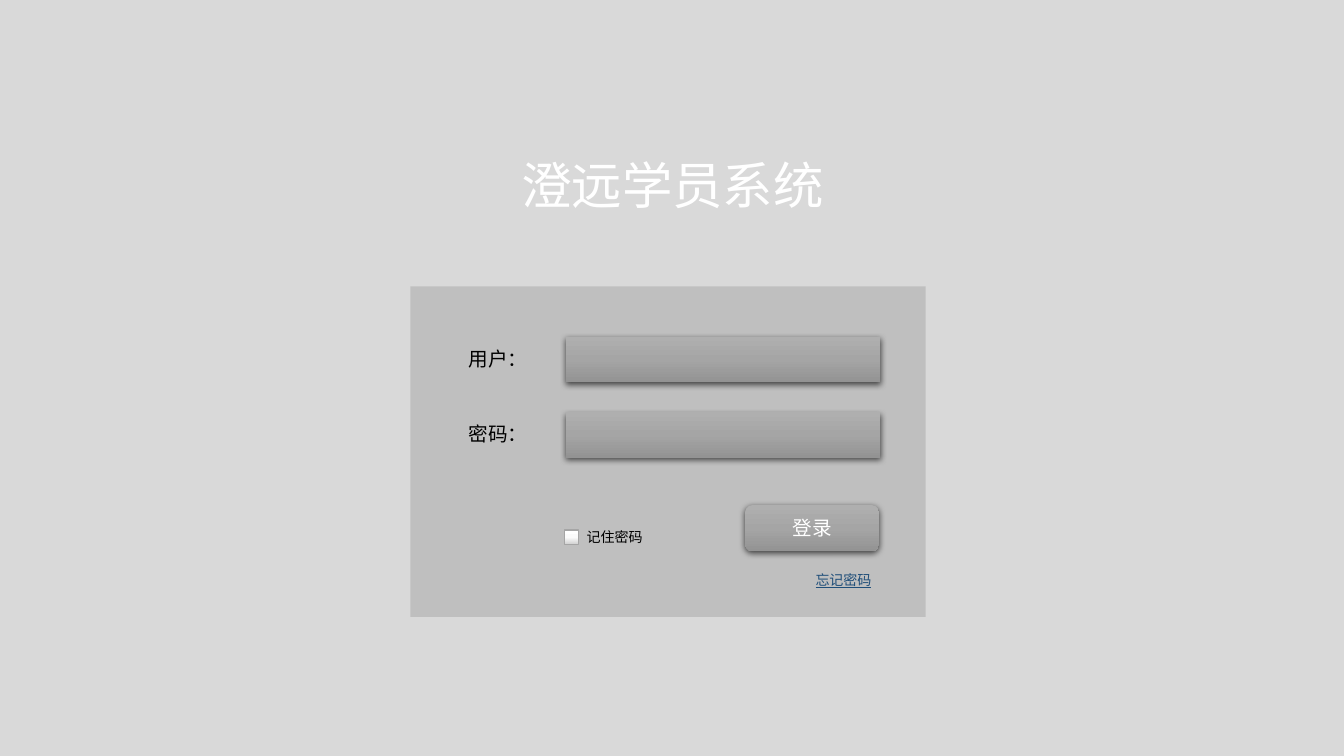
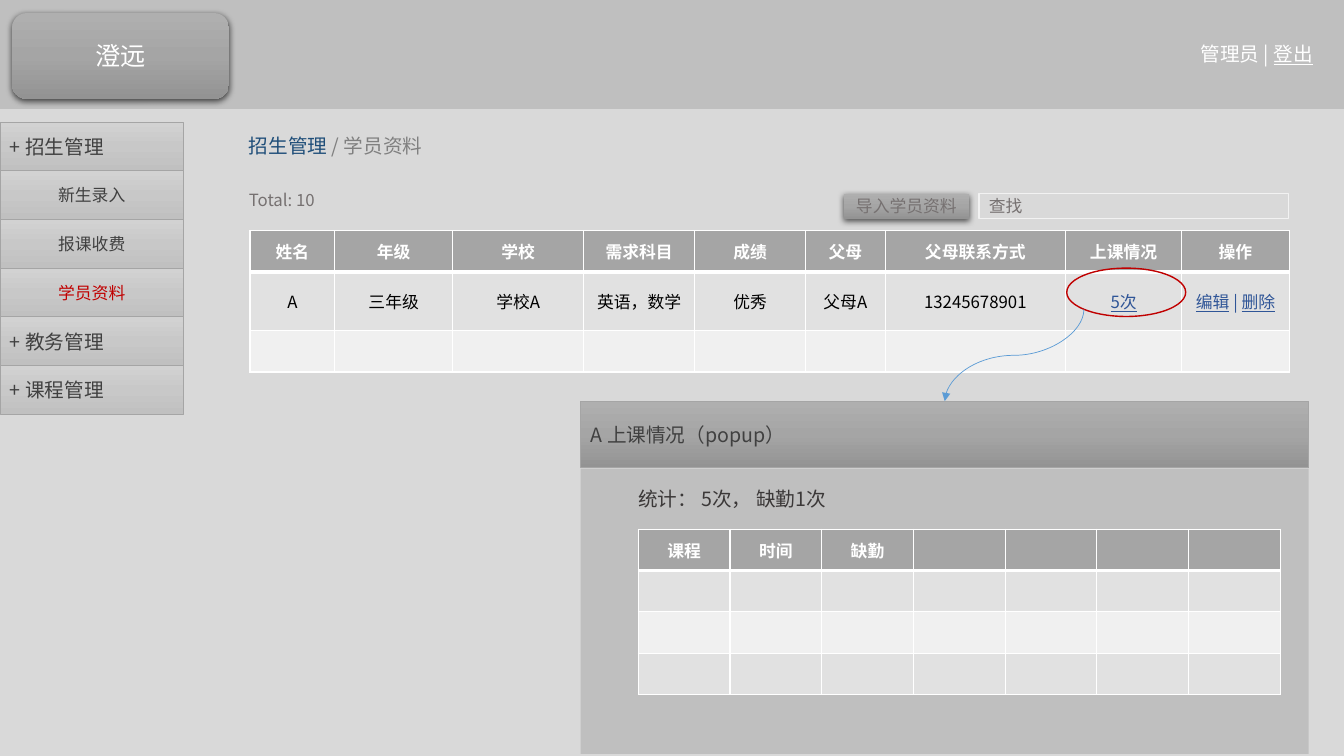
from dataclasses import dataclass
from typing import Optional, Sequence

from lxml.etree import SubElement
from pptx import Presentation
from pptx.dml.color import RGBColor
from pptx.enum.shapes import MSO_CONNECTOR, MSO_SHAPE
from pptx.enum.text import MSO_ANCHOR, PP_ALIGN
from pptx.oxml.ns import qn
from pptx.util import Inches, Pt

FONT = "Noto Sans CJK SC"
WHITE, BLACK, RED = "FFFFFF", "000000", "C00000"
PAGE, PANEL, GRAY = "D9D9D9", "BFBFBF", "A5A5A5"
DARK, MUTED, CRUMB = "404040", "767171", "808080"
NAVY, LINK, ARROW = "1F4E79", "2F5597", "5B9BD5"
BANDS = ("E1E1E1", "F0F0F0")
RAISED = ("AFAFAF", "A5A5A5", "939393")
MENU = ("D2D2D2", "C8C8C8", "C0C0C0")
CHECKBOX = ("FFFFFF", "FBFBFB", "D1D1D1")
RECT, ROUND, OVAL = MSO_SHAPE.RECTANGLE, MSO_SHAPE.ROUNDED_RECTANGLE, MSO_SHAPE.OVAL
LEFT, CENTER = PP_ALIGN.LEFT, PP_ALIGN.CENTER
TOP, MIDDLE = MSO_ANCHOR.TOP, MSO_ANCHOR.MIDDLE
ROW, TALL_ROW = 0.41, 0.58


@dataclass(frozen=True)
class Run:
    text: str
    color: str
    underline: bool = False
    bold: bool = False


@dataclass(frozen=True)
class Label:
    runs: Sequence[Run]
    size: float
    align: PP_ALIGN = CENTER
    anchor: MSO_ANCHOR = MIDDLE


@dataclass(frozen=True)
class Box:
    at: tuple[float, float, float, float]
    fill: Optional[str] = None
    gradient: Sequence[str] = ()
    line: Optional[tuple[str, float]] = None
    shadow: bool = False
    kind: MSO_SHAPE = RECT
    label: Optional[Label] = None


def rgb(color: str) -> RGBColor:
    return RGBColor.from_string(color)


def one(text: str, color: str, size: float, align: PP_ALIGN = CENTER,
        anchor: MSO_ANCHOR = MIDDLE, underline: bool = False) -> Label:
    return Label([Run(text, color, underline)], size, align, anchor)


# Text
def write(tf, label: Label) -> None:
    p = tf.paragraphs[0]
    p.alignment = label.align
    for run in label.runs:
        r = p.add_run()
        r.text = run.text
        formats = {"size": Pt(label.size), "name": FONT,
                   "bold": run.bold, "underline": run.underline}
        for name, value in formats.items():
            setattr(r.font, name, value)
        r.font.color.rgb = rgb(run.color)
        SubElement(r._r.get_or_add_rPr(), qn("a:ea"), typeface=FONT)
    if not label.runs:
        SubElement(p._p, qn("a:endParaRPr"), sz=str(int(label.size * 100)))


def add_text(s, at: tuple[float, float, float, float], label: Label) -> None:
    tf = s.shapes.add_textbox(*map(Inches, at)).text_frame
    tf.word_wrap = True
    tf.vertical_anchor = label.anchor
    write(tf, label)


# Shapes
def add_color(parent, color: str):
    return SubElement(parent, qn("a:srgbClr"), val=color)


def add_gradient(sp, colors: Sequence[str]) -> None:
    sp.fill.gradient()
    grad = sp._element.spPr.find(qn("a:gradFill"))
    for child in list(grad):
        grad.remove(child)
    stops = SubElement(grad, qn("a:gsLst"))
    for i, color in enumerate(colors):
        add_color(SubElement(stops, qn("a:gs"), pos=str(i * 50000)), color)
    SubElement(grad, qn("a:lin"), ang="5400000", scaled="0")


def add_shadow(sp) -> None:
    effects = sp._element.spPr.find(qn("a:effectLst"))
    shadow = SubElement(effects, qn("a:outerShdw"), blurRad=str(Pt(4.5)),
                        dist=str(Pt(1.5)), dir="5400000", algn="ctr", rotWithShape="0")
    SubElement(add_color(shadow, BLACK), qn("a:alpha"), val="63000")


def add_box(s, box: Box) -> None:
    sp = s.shapes.add_shape(box.kind, *map(Inches, box.at))
    sp.shadow.inherit = False
    if box.gradient:
        add_gradient(sp, box.gradient)
    elif box.fill:
        sp.fill.solid()
        sp.fill.fore_color.rgb = rgb(box.fill)
    else:
        sp.fill.background()
    if box.line:
        color, width = box.line
        sp.line.color.rgb = rgb(color)
        sp.line.width = Pt(width)
    else:
        sp.line.fill.background()
    if box.shadow:
        add_shadow(sp)
    if box.label:
        sp.text_frame.vertical_anchor = box.label.anchor
        write(sp.text_frame, box.label)


def raised(at: tuple[float, float, float, float], label: Optional[Label] = None,
           kind: MSO_SHAPE = RECT) -> Box:
    return Box(at, gradient=RAISED, shadow=True, kind=kind, label=label)


# Tables
def add_borders(cell, bottom: float) -> None:
    tcPr = cell._tc.get_or_add_tcPr()
    widths = {"a:lnL": 1, "a:lnR": 1, "a:lnT": 1, "a:lnB": bottom}
    for i, (tag, width) in enumerate(widths.items()):
        ln = SubElement(tcPr, qn(tag), w=str(Pt(width)))
        add_color(SubElement(ln, qn("a:solidFill")), WHITE)
        tcPr.insert(i, ln)


def add_grid(s, left: float, top: float, widths: Sequence[float], heights: Sequence[float],
             header: Sequence[str], body: Sequence[Sequence[Sequence[Run]]]) -> None:
    rows = [[[Run(text, WHITE, bold=True)] for text in header], *body]
    table = s.shapes.add_table(len(rows), len(widths), Inches(left), Inches(top),
                               Inches(sum(widths)), Inches(sum(heights))).table
    table.first_row = table.horz_banding = False
    for column, width in zip(table.columns, widths):
        column.width = Inches(width)
    for i, (row, height) in enumerate(zip(rows, heights)):
        table.rows[i].height = Inches(height)
        for j in range(len(widths)):
            cell = table.cell(i, j)
            cell.vertical_anchor = MIDDLE
            cell.fill.solid()
            cell.fill.fore_color.rgb = rgb(BANDS[(i - 1) % 2] if i else GRAY)
            add_borders(cell, bottom=1 if i else 3)
            write(cell.text_frame, Label(row[j] if j < len(row) else [], 12))


# Connectors
def add_callout_arrow(s, start: tuple[float, float], end: tuple[float, float]) -> None:
    """Draw a curve that leaves and arrives vertically."""
    (x1, y1), (x2, y2) = start, end
    mid_x, mid_y = (x1 + x2) / 2, (y1 + y2) / 2
    half_w, half_h = abs(y2 - y1) / 2, abs(x2 - x1) / 2
    sp = s.shapes.add_connector(
        MSO_CONNECTOR.CURVE, Inches(mid_x - half_w), Inches(mid_y - half_h),
        Inches(mid_x + half_w), Inches(mid_y + half_h))
    sp.rotation = 90
    sp.line.color.rgb = rgb(ARROW)
    sp.line.width = Pt(0.5)
    spPr = sp._element.spPr
    SubElement(spPr.find(qn("a:ln")), qn("a:tailEnd"), type="triangle")
    SubElement(spPr, qn("a:effectLst"))


def new_slide(prs):
    s = prs.slides.add_slide(prs.slide_layouts[6])
    s.background.fill.solid()
    s.background.fill.fore_color.rgb = rgb(PAGE)
    return s


def build_login(prs) -> None:
    s = new_slide(prs)
    add_text(s, (2.33, 1.24, 8.68, 1.18), one("澄远学员系统", WHITE, 36))
    add_box(s, Box((4.07, 2.84, 5.11, 3.28), fill=PANEL))

    # Input fields
    for i, caption in enumerate(("用户：", "密码：")):
        top = 3.34 + i * 0.75
        add_box(s, raised((5.61, top, 3.12, 0.45)))
        add_text(s, (4.55, top + 0.05, 1.06, 0.34), one(caption, BLACK, 14, LEFT, TOP))

    # Login button and options
    add_box(s, raised((7.39, 5.01, 1.33, 0.46), one("登录", WHITE, 14), ROUND))
    add_text(s, (5.72, 5.19, 1.08, 0.27), one("记住密码", BLACK, 10, LEFT, TOP))
    add_box(s, Box((5.6, 5.26, 0.14, 0.14), gradient=CHECKBOX, line=(GRAY, 1)))
    add_text(s, (7.99, 5.62, 0.85, 0.27), one("忘记密码", NAVY, 10, LEFT, TOP, True))


def build_students(prs) -> None:
    s = new_slide(prs)

    # Header
    add_box(s, Box((0, 0, 13.33, 1.08), fill=PANEL))
    add_box(s, raised((0.12, 0.13, 2.15, 0.85), one("澄远", WHITE, 18), ROUND))
    account = Label([Run("管理员 | ", WHITE), Run("登出", WHITE, True)], 14)
    add_box(s, Box((11.76, 0.31, 1.41, 0.45), fill=PANEL, label=account))

    # Side menu
    menu = (
        one("+ 招生管理", DARK, 14, LEFT),
        one("新生录入", DARK, 12),
        one("报课收费", DARK, 12),
        one("学员资料", RED, 12),
        one("+ 教务管理", DARK, 14, LEFT),
        one("+ 课程管理", DARK, 14, LEFT),
    )
    pitch = 2.9 / len(menu)
    for i, label in enumerate(menu):
        add_box(s, Box((0, 1.21 + i * pitch, 1.82, pitch), gradient=MENU,
                       line=(GRAY, 0.5), label=label))

    # Breadcrumb and tools
    crumbs = [Run("招生管理 ", NAVY), Run("/ 学员资料", CRUMB)]
    add_text(s, (2.37, 1.21, 10.96, 0.48), Label(crumbs, 14, LEFT))
    add_text(s, (2.37, 1.83, 0.98, 0.3), one("Total: 10", MUTED, 12, LEFT, TOP))
    add_box(s, raised((8.37, 1.92, 1.24, 0.25), one("导入学员资料", MUTED, 12)))
    add_box(s, Box((9.71, 1.92, 3.07, 0.25), line=("F2F2F2", 1),
                   label=one("查找", MUTED, 12, LEFT)))

    # Student table, with a taller row for the wrapped actions
    values = ("A", "三年级", "学校A", "英语，数学", "优秀", "父母A", "13245678901")
    student = [[Run(value, BLACK)] for value in values]
    student.append([Run("5次", LINK, True)])
    student.append([Run("编辑", LINK, True), Run(" | ", LINK), Run("删除", LINK, True)])
    add_grid(s, 2.48, 2.29, (0.84, 1.17, 1.3, 1.1, 1.1, 0.79, 1.79, 1.15, 1.07),
             (ROW, TALL_ROW, ROW),
             ("姓名", "年级", "学校", "需求科目", "成绩", "父母", "父母联系方式",
              "上课情况", "操作"), [student, []])

    # Callout to the popup
    add_box(s, Box((10.58, 2.66, 1.18, 0.48), line=(RED, 1), kind=OVAL))
    add_callout_arrow(s, (10.75, 3.07), (9.37, 3.98))

    # Attendance popup
    add_box(s, Box((5.76, 4.65, 7.22, 2.83), fill=PANEL))
    add_box(s, Box((5.76, 3.98, 7.22, 0.66), gradient=RAISED, line=(GRAY, 0.5),
                   label=one("A 上课情况（popup）", DARK, 14, LEFT)))
    add_text(s, (6.23, 4.78, 6.42, 0.34),
             one("统计： 5次， 缺勤1次", "3B3838", 14, LEFT, TOP))
    add_grid(s, 6.33, 5.25, [0.91] * 7, [ROW] * 4, ("课程", "时间", "缺勤"), [[], [], []])


prs = Presentation()
prs.slide_width, prs.slide_height = Inches(13.33), Inches(7.5)
build_login(prs)
build_students(prs)
prs.save("out.pptx")
